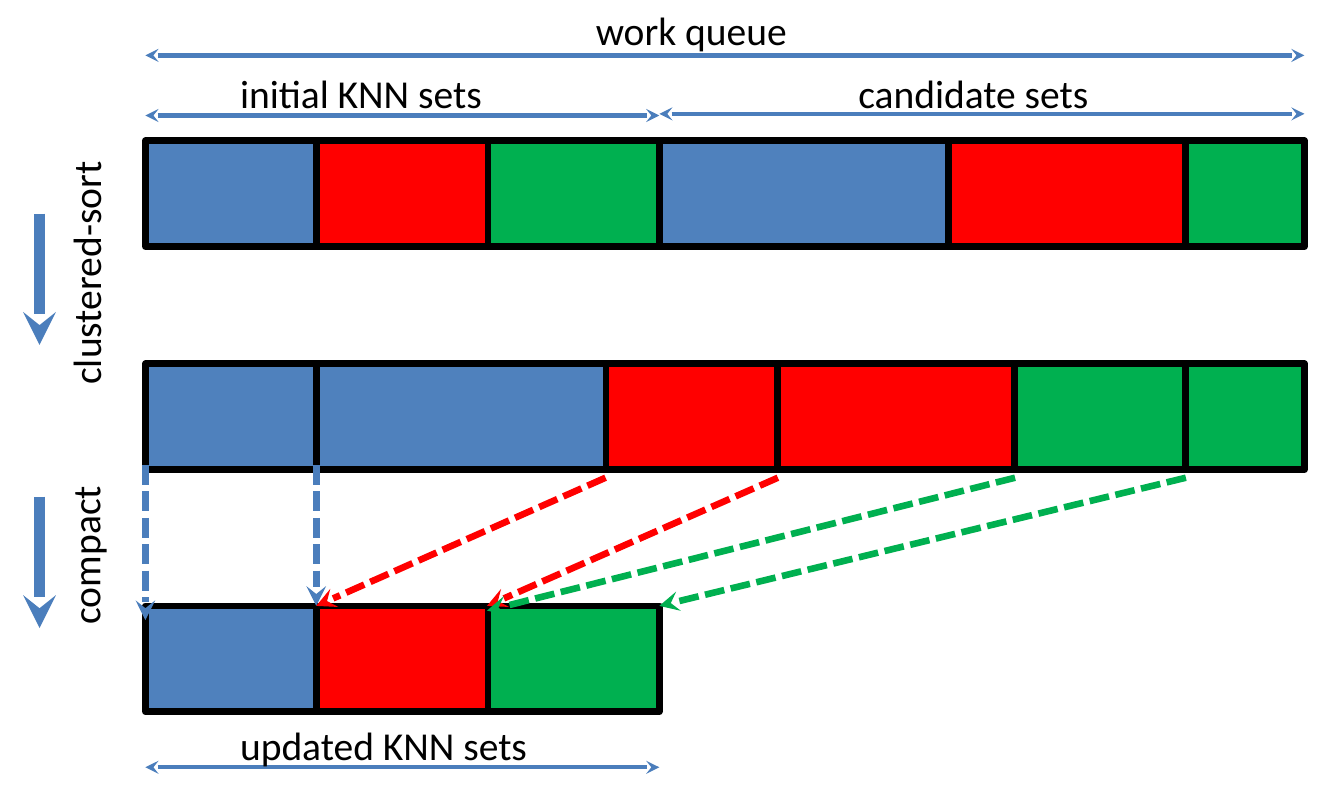
"""Build the work queue diagram: initial, clustered-sorted and compacted KNN sets."""
from lxml import etree
from pptx import Presentation
from pptx.dml.color import RGBColor
from pptx.enum.dml import MSO_LINE
from pptx.enum.shapes import MSO_CONNECTOR, MSO_SHAPE
from pptx.enum.text import MSO_AUTO_SIZE
from pptx.oxml.ns import qn
from pptx.util import Inches, Pt

RECTANGLE = MSO_SHAPE.RECTANGLE
STRAIGHT = MSO_CONNECTOR.STRAIGHT
SYSTEM_DASH = MSO_LINE.SQUARE_DOT
FIT_SHAPE = MSO_AUTO_SIZE.SHAPE_TO_FIT_TEXT
BLUE = RGBColor(0x4F, 0x81, 0xBD)
ARROW_BLUE = RGBColor(0x4B, 0x7E, 0xBC)
RED = RGBColor(0xFF, 0x00, 0x00)
GREEN = RGBColor(0x00, 0xB0, 0x50)
BLACK = RGBColor(0x00, 0x00, 0x00)

LEFT, MIDDLE, RIGHT = 0.92, 4.17, 8.25
KNN_WIDTH = 3.25 / 3
BAR_HEIGHT = 0.67

deck = Presentation()
deck.slide_width, deck.slide_height = Inches(8.5), Inches(5)
page = deck.slides.add_slide(deck.slide_layouts[6])


def add_arrow(start, end, color=ARROW_BLUE, weight=3, dashed=False, double=False):
    """Draw a straight arrow between two points."""
    arrow = page.shapes.add_connector(STRAIGHT, *map(Inches, start + end))
    arrow.line.color.rgb = color
    arrow.line.width = Pt(weight)
    if dashed:
        arrow.line.dash_style = SYSTEM_DASH
    outline = arrow.line._get_or_add_ln()
    for tip in ("a:headEnd", "a:tailEnd") if double else ("a:tailEnd",):
        etree.SubElement(outline, qn(tip), type="stealth")
    etree.SubElement(arrow._element.spPr, qn("a:effectLst"))


def add_label(text, left, top, width, rotation=0, wrap=False):
    """Place a line of black text."""
    box = page.shapes.add_textbox(*map(Inches, (left, top, width, 0.4)))
    box.rotation = rotation
    box.text_frame.word_wrap = wrap
    box.text_frame.auto_size = FIT_SHAPE
    span = box.text_frame.paragraphs[0].add_run()
    span.text = text
    span.font.name = "Calibri"
    span.font.size = Pt(18)
    span.font.color.rgb = BLACK


knn_sets = [(color, KNN_WIDTH) for color in (BLUE, RED, GREEN)]
candidate_sets = [(BLUE, 1.83), (RED, 1.5), (GREEN, 0.75)]
sorted_sets = [part for pair in zip(knn_sets, candidate_sets) for part in pair]

for top, parts in ((0.89, knn_sets + candidate_sets), (2.3, sorted_sets), (3.83, knn_sets)):
    left = LEFT
    for color, width in parts:
        block = page.shapes.add_shape(RECTANGLE, *map(Inches, (left, top, width, BAR_HEIGHT)))
        block.shadow.inherit = False
        block.fill.solid()
        block.fill.fore_color.rgb = color
        block.line.color.rgb = BLACK
        block.line.width = Pt(3)
        left += width

for color, start, end in (
    (ARROW_BLUE, (LEFT, 2.94), (LEFT, 3.92)),
    (ARROW_BLUE, (2, 2.94), (2, 3.83)),
    (RED, (3.83, 3.02), (2, 3.83)),
    (RED, (4.92, 3.02), (3.08, 3.83)),
    (GREEN, (6.42, 3.02), (3.08, 3.86)),
    (GREEN, (7.5, 3.02), (MIDDLE, 3.83)),
):
    add_arrow(start, end, color, dashed=True)

for left, right, top in (
    (LEFT, RIGHT, 0.35),
    (LEFT, MIDDLE, 0.73),
    (MIDDLE, RIGHT, 0.72),
    (LEFT, MIDDLE, 4.85),
):
    add_arrow((left, top), (right, top), weight=2, double=True)

for top in (1.35, 3.14):
    add_arrow((0.25, top), (0.25, top + 0.83), weight=5)

add_label("work queue", 3.67, -0.01, 1.5, wrap=True)
add_label("initial KNN sets", 1.42, 0.39, 1.76)
add_label("candidate sets", 5.33, 0.39, 1.7)
add_label("updated KNN sets", 1.42, 4.51, 2.04)
add_label("clustered-sort", -0.28, 1.51, 1.64, rotation=270)
add_label("compact", -0.01, 3.3, 1.09, rotation=270)

deck.save("out.pptx")
